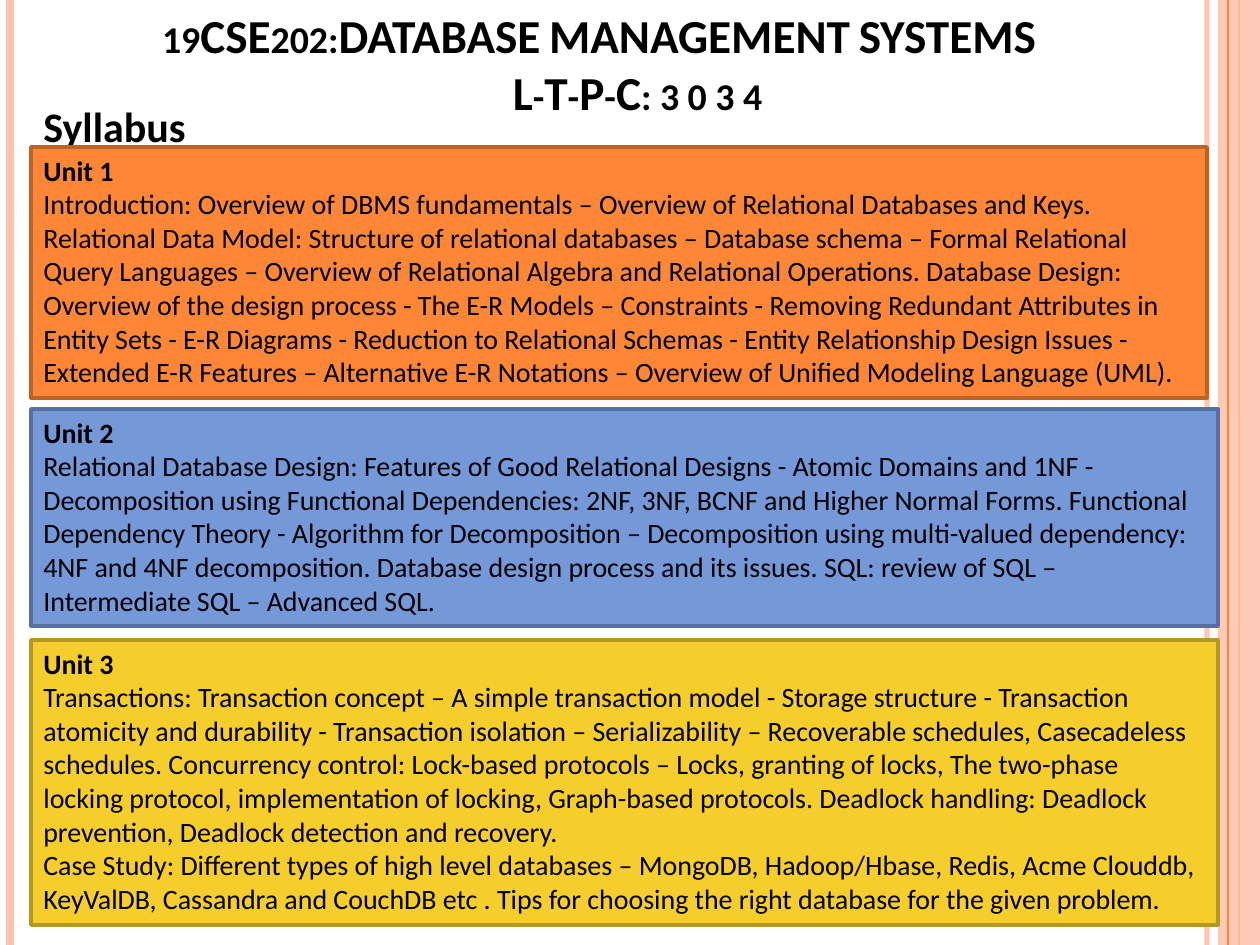
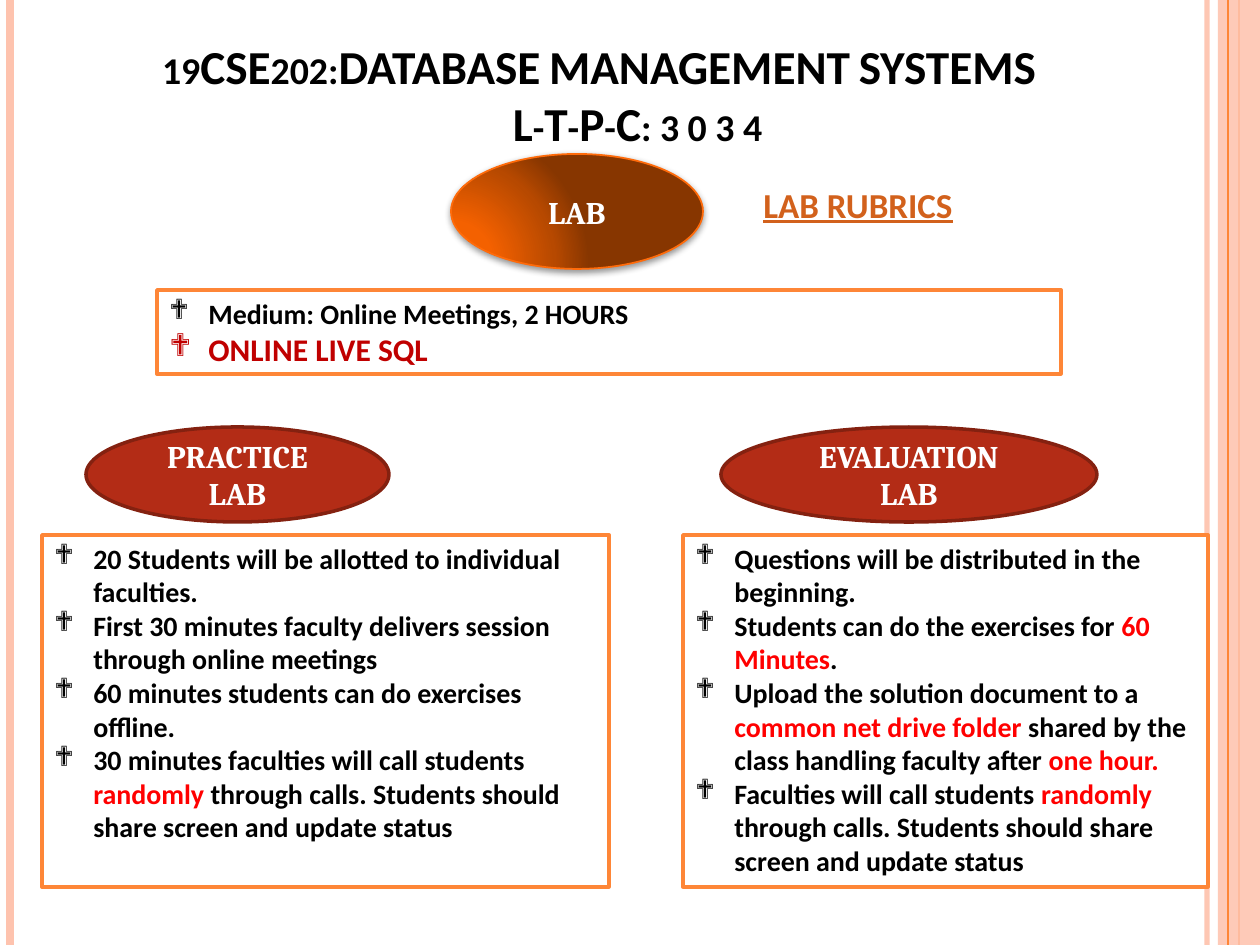
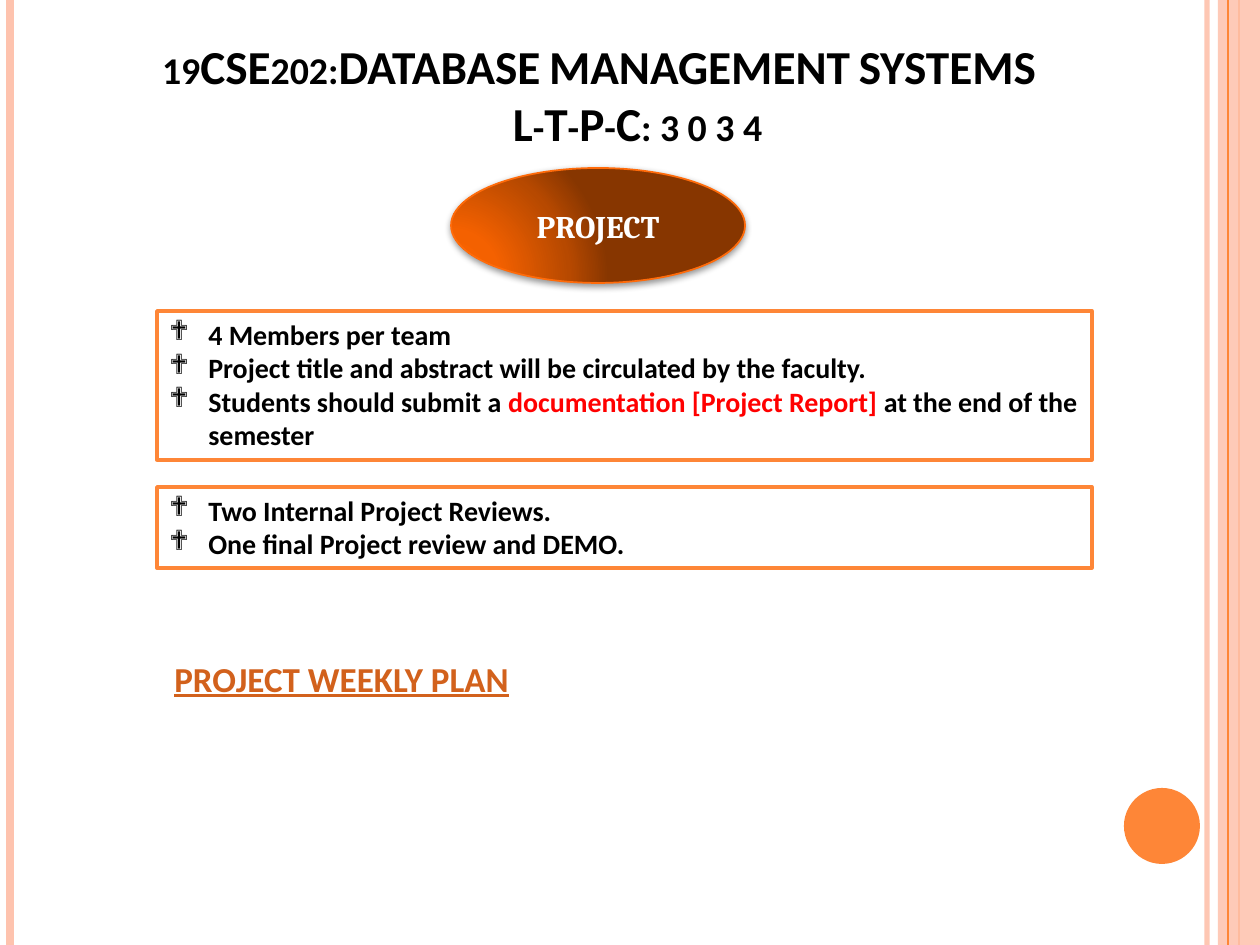
from lxml.etree import SubElement
from pptx import Presentation
from pptx.dml.color import RGBColor
from pptx.enum.shapes import MSO_CONNECTOR, MSO_SHAPE
from pptx.enum.text import MSO_ANCHOR, PP_ALIGN
from pptx.oxml import parse_xml
from pptx.oxml.ns import nsdecls, qn
from pptx.util import Emu, Pt

PX = 914400 / 126
PAGE_WIDTH, PAGE_HEIGHT = 1260, 945

BLACK = RGBColor(0x00, 0x00, 0x00)
WHITE = RGBColor(0xFF, 0xFF, 0xFF)
PEACH = RGBColor(0xFE, 0xC3, 0xAE)
ORANGE = RGBColor(0xFE, 0x86, 0x37)
ORANGE_EDGE = RGBColor(0xBC, 0x63, 0x29)
BLUE = RGBColor(0x75, 0x98, 0xD9)
BLUE_EDGE = RGBColor(0x57, 0x70, 0xA1)
YELLOW = RGBColor(0xF5, 0xCD, 0x2D)
YELLOW_EDGE = RGBColor(0xB5, 0x98, 0x21)
BRICK = RGBColor(0xB3, 0x2C, 0x16)
BRICK_EDGE = RGBColor(0x84, 0x21, 0x10)
GLOW_EDGE = RGBColor(0xFF, 0x6B, 0x0A)
LINK = RGBColor(0xD2, 0x61, 0x1C)
RED = RGBColor(0xFF, 0x00, 0x00)
DARK_RED = RGBColor(0xC0, 0x00, 0x00)
GLOW_STOPS = [(0, "FD6400"), (30, "F46100"), (75, "B74900"), (100, "873600")]

UNITS = [
    ((31, 147, 1176, 251), ORANGE, ORANGE_EDGE, "Unit 1", [
        "Introduction: Overview of DBMS fundamentals – Overview of Relational "
        "Databases and Keys. Relational Data Model: Structure of relational "
        "databases – Database schema – Formal Relational Query Languages – "
        "Overview of Relational Algebra and Relational Operations. Database "
        "Design: Overview of the design process - The E-R Models – Constraints "
        "- Removing Redundant Attributes in Entity Sets - E-R Diagrams - "
        "Reduction to Relational Schemas - Entity Relationship Design Issues - "
        "Extended E-R Features – Alternative E-R Notations – Overview of "
        "Unified Modeling Language (UML)."]),
    ((31, 409, 1187, 217), BLUE, BLUE_EDGE, "Unit 2", [
        "Relational Database Design: Features of Good Relational Designs - "
        "Atomic Domains and 1NF - Decomposition using Functional Dependencies: "
        "2NF, 3NF, BCNF and Higher Normal Forms. Functional Dependency Theory "
        "- Algorithm for Decomposition – Decomposition using multi-valued "
        "dependency: 4NF and 4NF decomposition. Database design process and "
        "its issues. SQL: review of SQL – Intermediate SQL – Advanced SQL."]),
    ((31, 640, 1187, 285), YELLOW, YELLOW_EDGE, "Unit 3", [
        "Transactions: Transaction concept – A simple transaction model - "
        "Storage structure - Transaction atomicity and durability - "
        "Transaction isolation – Serializability – Recoverable schedules, "
        "Casecadeless schedules. Concurrency control: Lock-based protocols – "
        "Locks, granting of locks, The two-phase locking protocol, "
        "implementation of locking, Graph-based protocols. Deadlock handling: "
        "Deadlock prevention, Deadlock detection and recovery.",
        "Case Study: Different types of high level databases – MongoDB, "
        "Hadoop/Hbase, Redis, Acme Clouddb, KeyValDB, Cassandra and CouchDB "
        "etc . Tips for choosing the right database for the given problem."]),
]
PRACTICE_RULES = [
    "20 Students will be allotted to individual faculties.",
    "First 30 minutes faculty delivers session through online meetings",
    "60 minutes students can do exercises offline.",
    "30 minutes faculties will call students *randomly* through calls. "
    "Students should share screen and update status",
]
EVALUATION_RULES = [
    "Questions will be distributed in the beginning.",
    "Students can do the exercises for *60 Minutes*.",
    "Upload the solution document to a *common net drive folder *shared by "
    "the class handling faculty after *one hour.*",
    "Faculties will call students *randomly* through calls. Students should "
    "share screen and update status",
]
TEAM_RULES = [
    "4 Members per team",
    "Project title and abstract will be circulated by the faculty.",
    "Students should submit a *documentation [Project Report] *at the end of "
    "the semester",
]
REVIEW_RULES = ["Two Internal Project Reviews.", "One final Project review and DEMO."]


def px(length):
    return Emu(round(length * PX))


def add_para(frame, text, size=16, font="Calibri", color=BLACK, bold=True,
             underline=False, small_caps=False, align=PP_ALIGN.LEFT,
             indent=0, bullet=None):
    """Append a paragraph; stretches between asterisks are red."""
    para = frame.paragraphs[0]
    if para.runs:
        para = frame.add_paragraph()
    para.alignment = align
    properties = para._p.get_or_add_pPr()
    properties.set("marL", str(px(indent)))
    if bullet:
        properties.set("indent", str(-px(indent)))
        SubElement(properties, qn("a:buFont")).set("typeface", "Wingdings")
        SubElement(properties, qn("a:buChar")).set("char", bullet)
    for index, piece in enumerate(text.split("*")):
        if not piece:
            continue
        span = para.add_run()
        span.text = piece
        span.font.name = font
        span.font.size = Pt(size)
        span.font.bold = bold
        span.font.underline = underline
        span.font.color.rgb = RED if index % 2 else color
        if small_caps:
            span.font._element.set("cap", "small")


def add_bullet(frame, text, **style):
    add_para(frame, text, indent=39, bullet="❖", **style)


def add_label(page, box, anchor=MSO_ANCHOR.TOP):
    frame = page.shapes.add_textbox(*map(px, box)).text_frame
    frame.word_wrap = True
    frame.vertical_anchor = anchor
    return frame


def add_box(page, kind, box, fill=None, edge=None, width=2, anchor=MSO_ANCHOR.TOP):
    shape = page.shapes.add_shape(kind, *map(px, box))
    shape.shadow.inherit = False
    if fill is not None:
        shape.fill.solid()
        shape.fill.fore_color.rgb = fill
    if edge is None:
        shape.line.fill.background()
    else:
        shape.line.color.rgb = edge
        shape.line.width = Pt(width)
    shape.text_frame.word_wrap = True
    shape.text_frame.vertical_anchor = anchor
    return shape


def set_alpha(properties, percent):
    color = properties.find(qn("a:solidFill"))[0]
    SubElement(color, qn("a:alpha")).set("val", str(percent * 1000))


def add_rule(page, x, color, width):
    rule = page.shapes.add_connector(
        MSO_CONNECTOR.STRAIGHT, px(x), 0, px(x), px(PAGE_HEIGHT))
    rule.line.color.rgb = color
    rule.line.width = Pt(width)
    SubElement(rule._element.spPr, qn("a:effectLst"))
    return rule


def add_side_bands(page):
    inner = add_rule(page, 1207, PEACH, 3)
    set_alpha(inner.line._ln, 93)
    add_rule(page, 10, PEACH, 4.5)
    add_rule(page, 1239, ORANGE, 1.5)
    band = add_box(page, MSO_SHAPE.RECTANGLE,
                   (1218, 0, PAGE_WIDTH - 1218, PAGE_HEIGHT), PEACH)
    set_alpha(band._element.spPr, 87)
    add_rule(page, 1228, ORANGE, 0.75)


def add_title(page, top):
    frame = add_label(page, (63, top, 1029, 126), MSO_ANCHOR.BOTTOM)
    for text, indent in (("19CSE202:DATABASE MANAGEMENT SYSTEMS", 43),
                         ("L-T-P-C: 3 0 3 4", 120)):
        add_para(frame, text, size=27, small_caps=True,
                 align=PP_ALIGN.CENTER, indent=indent)


def add_oval(page, box, text, **look):
    oval = add_box(page, MSO_SHAPE.OVAL, box, anchor=MSO_ANCHOR.MIDDLE, **look)
    add_para(oval.text_frame, text, size=18, font="Cambria", color=WHITE,
             align=PP_ALIGN.CENTER)
    return oval


def add_glowing_oval(page, box, text):
    oval = add_oval(page, box, text, edge=GLOW_EDGE, width=1)
    stops = "".join(f'<a:gs pos="{place * 1000}"><a:srgbClr val="{color}"/></a:gs>'
                    for place, color in GLOW_STOPS)
    properties = oval._element.spPr
    properties.find(qn("a:prstGeom")).addnext(parse_xml(
        f'<a:gradFill {nsdecls("a")} rotWithShape="1"><a:gsLst>{stops}</a:gsLst>'
        '<a:path path="circle"><a:fillToRect l="5000" t="100000" r="120000" '
        'b="10000"/></a:path></a:gradFill>'))
    properties.find(qn("a:effectLst")).append(parse_xml(
        f'<a:outerShdw {nsdecls("a")} blurRad="{Pt(4)}" dist="{Pt(1.6)}" '
        'dir="5400000" rotWithShape="0"><a:srgbClr val="000000">'
        '<a:alpha val="42000"/></a:srgbClr></a:outerShdw>'))


def add_rules_box(page, box, rules):
    frame = add_box(page, MSO_SHAPE.RECTANGLE, box, WHITE, ORANGE).text_frame
    for rule in rules:
        add_bullet(frame, rule)
    return frame


def add_link_label(page, box, text):
    add_para(add_label(page, box), text, size=20, color=LINK, underline=True)


def add_unit(page, box, fill, edge, heading, topics):
    frame = add_box(page, MSO_SHAPE.RECTANGLE, box, fill, edge).text_frame
    add_para(frame, heading)
    for topic in topics:
        add_para(frame, topic, bold=False)


def add_lab_column(page, left, width, oval_offset, oval_width, heading, rules):
    add_oval(page, (left + oval_offset, 427, oval_width, 95), heading,
             fill=BRICK, edge=BRICK_EDGE)
    add_rules_box(page, (left, 535, width, 352), rules)


def new_page(deck, title_top):
    page = deck.slides.add_slide(deck.slide_layouts[6])
    add_side_bands(page)
    add_title(page, title_top)
    return page


def build_syllabus(deck):
    page = new_page(deck, 0)
    add_para(add_label(page, (31, 94, 1134, 60)), "Syllabus", size=24)
    for unit in UNITS:
        add_unit(page, *unit)


def build_lab(deck):
    page = new_page(deck, 31)
    add_glowing_oval(page, (451, 154, 252, 115), "LAB")
    medium = add_rules_box(page, (157, 290, 904, 84),
                           ["Medium: Online Meetings, 2 HOURS"])
    add_bullet(medium, "ONLINE LIVE SQL", size=18, color=DARK_RED)
    add_lab_column(page, 42, 567, 44, 303, "PRACTICE LAB", PRACTICE_RULES)
    add_lab_column(page, 683, 525, 38, 376, "EVALUATION LAB", EVALUATION_RULES)
    add_link_label(page, (751, 177, 294, 55), "LAB RUBRICS")


def build_project(deck):
    page = new_page(deck, 31)
    add_box(page, MSO_SHAPE.OVAL, (1124, 788, 76, 76), ORANGE)
    add_glowing_oval(page, (451, 168, 294, 115), "PROJECT")
    add_rules_box(page, (157, 311, 935, 149), TEAM_RULES)
    add_rules_box(page, (157, 487, 935, 81), REVIEW_RULES)
    add_link_label(page, (162, 651, 920, 55), "PROJECT WEEKLY PLAN")


def main():
    deck = Presentation()
    deck.slide_width, deck.slide_height = px(PAGE_WIDTH), px(PAGE_HEIGHT)
    build_syllabus(deck)
    build_lab(deck)
    build_project(deck)
    deck.save("out.pptx")


if __name__ == "__main__":
    main()
